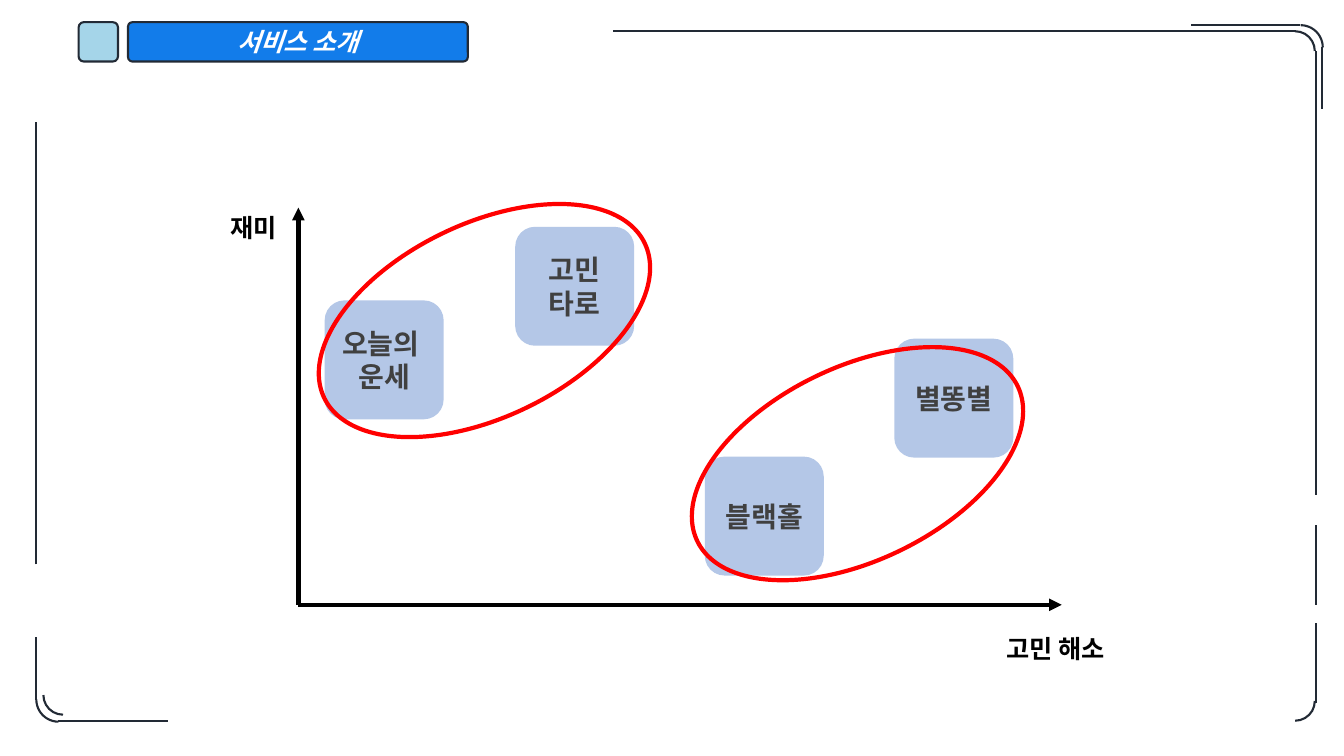
"""Build the service introduction slide: a fun versus worry-relief positioning map."""
from dataclasses import dataclass
from typing import Any

import lxml.etree
import pptx
import pptx.dml.color
import pptx.enum.shapes
import pptx.enum.text
import pptx.oxml.ns
import pptx.util

Inches = pptx.util.Inches
Pt = pptx.util.Pt
RGB = pptx.dml.color.RGBColor.from_string
qn = pptx.oxml.ns.qn
Kind = pptx.enum.shapes.MSO_SHAPE
Align = pptx.enum.text.PP_ALIGN
Anchor = pptx.enum.text.MSO_ANCHOR


@dataclass(frozen=True)
class Theme:
    """Colours, type sizes and line widths of the slide."""
    font: str = "Noto Sans CJK KR"
    frame: str = "222A35"
    banner: str = "127CEA"
    badge: str = "A5D5E9"
    banner_text: str = "FFFFFF"
    service: str = "B4C7E7"
    service_text: str = "404040"
    axis: str = "000000"
    group: str = "FF0000"
    label_size: int = 18
    service_size: int = 20
    thin: float = 1.5
    thick: float = 3


@dataclass(frozen=True)
class Box:
    """A preset shape with its place and look."""
    kind: Any
    left: float
    top: float
    width: float
    height: float
    fill: str | None = None
    line: str | None = None
    weight: float = 1.5
    rotation: float = 0
    corner: float | None = None


@dataclass(frozen=True)
class Stroke:
    """A straight line from one point to another."""
    x1: float
    y1: float
    x2: float
    y2: float


@dataclass(frozen=True)
class Service:
    """A service placed on the map."""
    lines: tuple[str, ...]
    left: float
    top: float


@dataclass(frozen=True)
class AxisLabel:
    """The name of an axis."""
    text: str
    left: float
    top: float
    width: float


THEME = Theme()
SERVICE_SIDE = 1.18
FRAME_RIGHT, FRAME_LEFT, FRAME_TOP, FRAME_BOTTOM = 13.05, 0.36, 0.31, 7.15
OUTER_RIGHT, OUTER_TOP = 13.11, 0.25
ORIGIN_X, ORIGIN_Y = 2.96, 6

FRAME_CORNERS = [
    Box(Kind.ARC, left, top, side, side, line=THEME.frame, rotation=turn)
    for left, top, side, turn in (
        (12.65, FRAME_TOP, 0.39, 0), (12.68, OUTER_TOP, 0.44, 0),
        (12.65, 6.76, 0.39, 90), (0.43, 6.7, 0.39, 180), (FRAME_LEFT, 6.72, 0.44, 180),
    )
]
FRAME_STROKES = [
    Stroke(12.85, FRAME_TOP, 6.08, FRAME_TOP),
    Stroke(12.89, OUTER_TOP, 11.81, OUTER_TOP),
    Stroke(OUTER_RIGHT, 1.08, OUTER_RIGHT, 0.47),
    *(Stroke(FRAME_RIGHT, low, FRAME_RIGHT, high)
      for low, high in ((4.91, 0.51), (6, 5.21), (6.97, 6.18))),
    Stroke(0.58, FRAME_BOTTOM, 1.67, FRAME_BOTTOM),
    *(Stroke(FRAME_LEFT, low, FRAME_LEFT, high) for low, high in ((6.94, 6.32), (5.6, 1.21))),
]
SERVICES = [
    Service(("오늘의 ", "운세"), 3.22, 2.98),
    Service(("고민 타로",), 5.11, 2.25),
    Service(("별똥별",), 8.87, 3.36),
    Service(("블랙홀",), 6.99, 4.53),
]
AXES = [
    Stroke(ORIGIN_X, ORIGIN_Y, 10.53, ORIGIN_Y),
    Stroke(ORIGIN_X, ORIGIN_Y, ORIGIN_X, 2.06),
]
AXIS_LABELS = [AxisLabel("재미", 2.19, 2.06, 0.71), AxisLabel("고민 해소", 9.88, 6.23, 1.3)]
GROUPS = [
    Box(Kind.OVAL, left, top, 3.53, 1.92, line=THEME.group, weight=THEME.thick, rotation=334.2)
    for left, top in ((3.04, 2.22), (6.74, 3.64))
]


def apply(target: Any, values: dict[str, Any]) -> None:
    """Set each named attribute of the target."""
    for name, value in values.items():
        setattr(target, name, value)


def draw_box(slide: Any, box: Box) -> Any:
    """Draw a preset shape and return it."""
    shape = slide.shapes.add_shape(
        box.kind, *map(Inches, (box.left, box.top, box.width, box.height)))
    shape.shadow.inherit = False
    shape.rotation = box.rotation
    if box.corner is not None:
        shape.adjustments[0] = box.corner
    if box.fill:
        shape.fill.solid()
        shape.fill.fore_color.rgb = RGB(box.fill)
    else:
        shape.fill.background()
    if box.line:
        shape.line.color.rgb = RGB(box.line)
        shape.line.width = Pt(box.weight)
    else:
        shape.line.fill.background()
    return shape


def draw_stroke(slide: Any, stroke: Stroke, color: str, weight: float, arrow: bool = False) -> None:
    """Draw a line, with an arrowhead at its end if asked."""
    ends = map(Inches, (stroke.x1, stroke.y1, stroke.x2, stroke.y2))
    connector = slide.shapes.add_connector(pptx.enum.shapes.MSO_CONNECTOR.STRAIGHT, *ends)
    connector.line.color.rgb = RGB(color)
    connector.line.width = Pt(weight)
    properties = connector._element.spPr
    if arrow:
        lxml.etree.SubElement(properties.find(qn("a:ln")), qn("a:tailEnd"), type="triangle")
    lxml.etree.SubElement(properties, qn("a:effectLst"))


def write(shape: Any, lines: tuple[str, ...], size: float, color: str, align: Any,
          frame: dict[str, Any], italic: bool = False) -> None:
    """Write bold lines of text into a shape."""
    apply(shape.text_frame, frame)
    for index, line in enumerate(lines):
        paragraph = (shape.text_frame.add_paragraph() if index
                     else shape.text_frame.paragraphs[0])
        paragraph.alignment = align
        run = paragraph.add_run()
        run.text = line
        apply(run.font, {"name": THEME.font, "size": Pt(size), "bold": True, "italic": italic})
        run.font.color.rgb = RGB(color)
        lxml.etree.SubElement(run.font._element, qn("a:ea"), typeface=THEME.font)


def main() -> None:
    """Build and save the slide."""
    deck = pptx.Presentation()
    apply(deck, {"slide_width": Inches(13.33), "slide_height": Inches(7.5)})
    slide = deck.slides.add_slide(deck.slide_layouts[6])
    centred = {"word_wrap": True, "vertical_anchor": Anchor.MIDDLE}

    banner = draw_box(slide, Box(Kind.ROUNDED_RECTANGLE, 1.27, 0.22, 3.37, 0.39,
                                 THEME.banner, THEME.frame, corner=0.11))
    write(banner, ("서비스 소개",), THEME.label_size, THEME.banner_text, Align.CENTER,
          centred, italic=True)
    draw_box(slide, Box(Kind.ROUNDED_RECTANGLE, 0.78, 0.22, 0.39, 0.39,
                        THEME.badge, THEME.frame, corner=0.13))
    for corner in FRAME_CORNERS:
        draw_box(slide, corner)
    for stroke in FRAME_STROKES:
        draw_stroke(slide, stroke, THEME.frame, THEME.thin)
    for service in SERVICES:
        tile = draw_box(slide, Box(Kind.ROUNDED_RECTANGLE, service.left, service.top,
                                   SERVICE_SIDE, SERVICE_SIDE, THEME.service))
        write(tile, service.lines, THEME.service_size, THEME.service_text, Align.CENTER, centred)
    for axis in AXES:
        draw_stroke(slide, axis, THEME.axis, THEME.thick, arrow=True)
    for label in AXIS_LABELS:
        caption = slide.shapes.add_textbox(
            *map(Inches, (label.left, label.top, label.width, 0.4)))
        write(caption, (label.text,), THEME.label_size, THEME.axis, Align.LEFT,
              {"word_wrap": False, "auto_size": pptx.enum.text.MSO_AUTO_SIZE.SHAPE_TO_FIT_TEXT})
    for group in GROUPS:
        draw_box(slide, group)
    deck.save("out.pptx")


if __name__ == "__main__":
    main()
